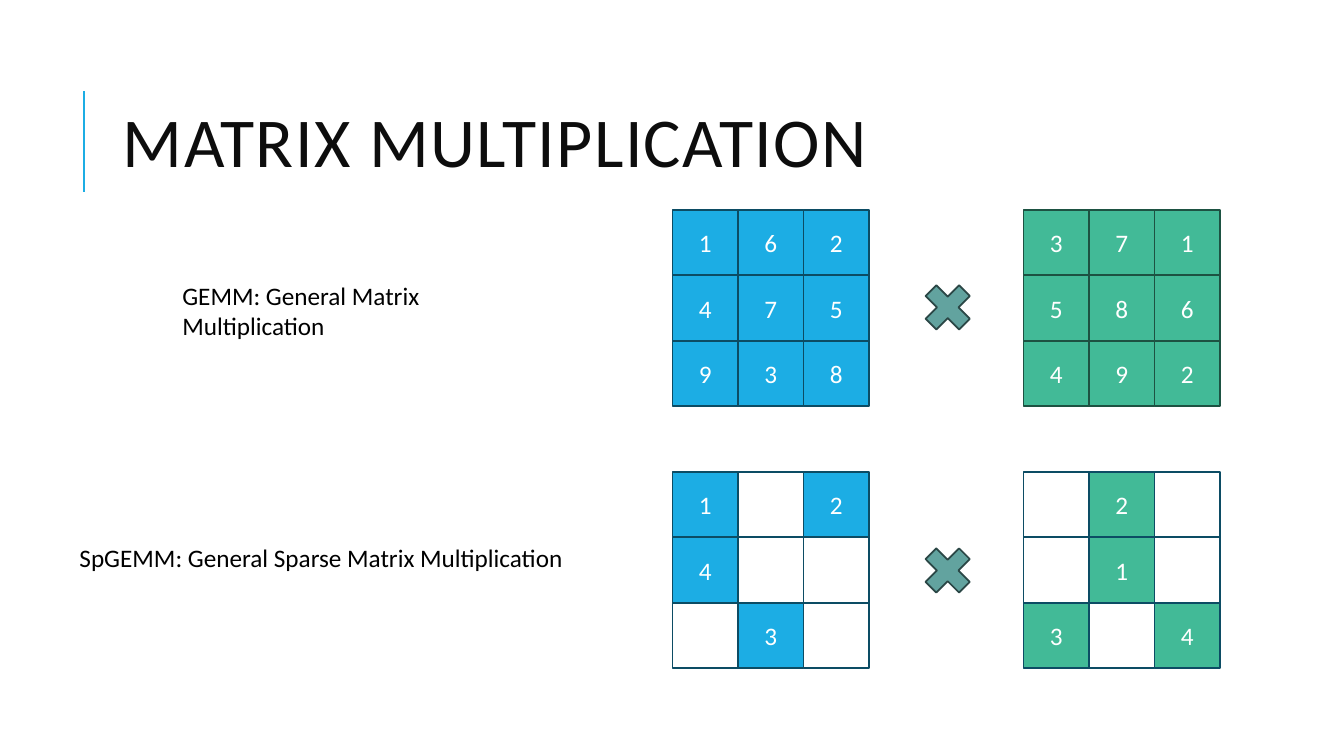
import pptx
import pptx.dml.color
import pptx.enum.shapes
import pptx.enum.text
import pptx.oxml.ns
import pptx.util
from lxml import etree

Inches = pptx.util.Inches
Points = pptx.util.Pt
Shapes = pptx.enum.shapes.MSO_SHAPE
Anchor = pptx.enum.text.MSO_ANCHOR
Align = pptx.enum.text.PP_ALIGN

BLUE, NAVY = "1CADE4", "0C4C64"
GREEN, FOREST = "42BA97", "1D5242"
TEAL, SLATE = "62A39F", "2B4746"
WHITE, BLACK, INK = "FFFFFF", "000000", "0D0D0D"


def color(value):
    return pptx.dml.color.RGBColor.from_string(value)


def write(frame, text, size=18, fill=BLACK, align=Align.LEFT,
          anchor=Anchor.TOP, line_spacing=None, tracking=None):
    frame.vertical_anchor = anchor
    paragraph = frame.paragraphs[0]
    paragraph.alignment = align
    paragraph.line_spacing = line_spacing
    run = paragraph.add_run()
    run.text = text
    run.font.name = "Calibri"
    run.font.size = Points(size)
    run.font.color.rgb = color(fill)
    if tracking:
        run.font._element.set("spc", str(tracking * 100))


class MatrixSlide:
    cell = 0.65
    outline = 1.25

    def __init__(self, presentation):
        self.slide = presentation.slides.add_slide(presentation.slide_layouts[6])
        self.shapes = self.slide.shapes

    def rule(self, x, top, bottom):
        line = self.shapes.add_connector(
            pptx.enum.shapes.MSO_CONNECTOR.STRAIGHT,
            Inches(x), Inches(bottom), Inches(x), Inches(top))
        line.line.color.rgb = color(BLUE)
        line.line.width = Points(1.5)
        etree.SubElement(line._element.spPr, pptx.oxml.ns.qn("a:effectLst"))

    def text(self, left, top, width, height, text, wrap=True, right_inset=0.1, **style):
        box = self.shapes.add_textbox(Inches(left), Inches(top), Inches(width), Inches(height))
        box.text_frame.word_wrap = wrap
        box.text_frame.margin_right = Inches(right_inset)
        write(box.text_frame, text, **style)

    def shape(self, kind, left, top, size, fill, line, text="", parent=None):
        shape = (parent or self).shapes.add_shape(
            kind, Inches(left), Inches(top), Inches(size), Inches(size))
        shape.shadow.inherit = False
        shape.fill.solid()
        shape.fill.fore_color.rgb = color(fill)
        shape.line.color.rgb = color(line)
        shape.line.width = Points(self.outline)
        if text:
            write(shape.text_frame, text, fill=WHITE, align=Align.CENTER, anchor=Anchor.MIDDLE)

    def matrix(self, left, top, rows, fill, line):
        group = self.shapes.add_group_shape()
        cells = [(value.strip(), row, column)
                 for row, values in enumerate(rows)
                 for column, value in enumerate(values)]
        # Empty cells lie behind the filled ones
        for value, row, column in sorted(cells, key=lambda item: item[0] != ""):
            self.shape(Shapes.RECTANGLE, left + column * self.cell, top + row * self.cell,
                       self.cell, fill if value else WHITE, line, value, group)

    def times(self, top):
        self.shape(Shapes.MATH_MULTIPLY, 9.08, top, 0.64, TEAL, SLATE)


def main():
    presentation = pptx.Presentation()
    presentation.slide_width = Inches(13.33)
    presentation.slide_height = Inches(7.5)
    page = MatrixSlide(presentation)

    # Heading
    page.rule(0.83, 0.9, 1.9)
    page.text(1.12, 0.64, 10.63, 1.64, "MATRIX MULTIPLICATION", size=50, fill=INK,
              anchor=Anchor.MIDDLE, line_spacing=0.8, tracking=1)

    # Dense product
    page.text(1.71, 2.73, 4.01, 0.4, "GEMM: General Matrix Multiplication", right_inset=1.2)
    page.matrix(6.67, 2.08, ["162", "475", "938"], BLUE, NAVY)
    page.matrix(10.15, 2.08, ["371", "586", "492"], GREEN, FOREST)
    page.times(2.73)

    # Sparse product
    page.text(0.69, 5.33, 5.03, 0.4, "SpGEMM: General Sparse Matrix Multiplication", wrap=False)
    page.times(5.34)
    page.matrix(6.67, 4.68, ["1 2", "4  ", " 3 "], BLUE, NAVY)
    page.matrix(10.15, 4.68, [" 2 ", " 1 ", "3 4"], GREEN, NAVY)

    presentation.save("out.pptx")


if __name__ == "__main__":
    main()
